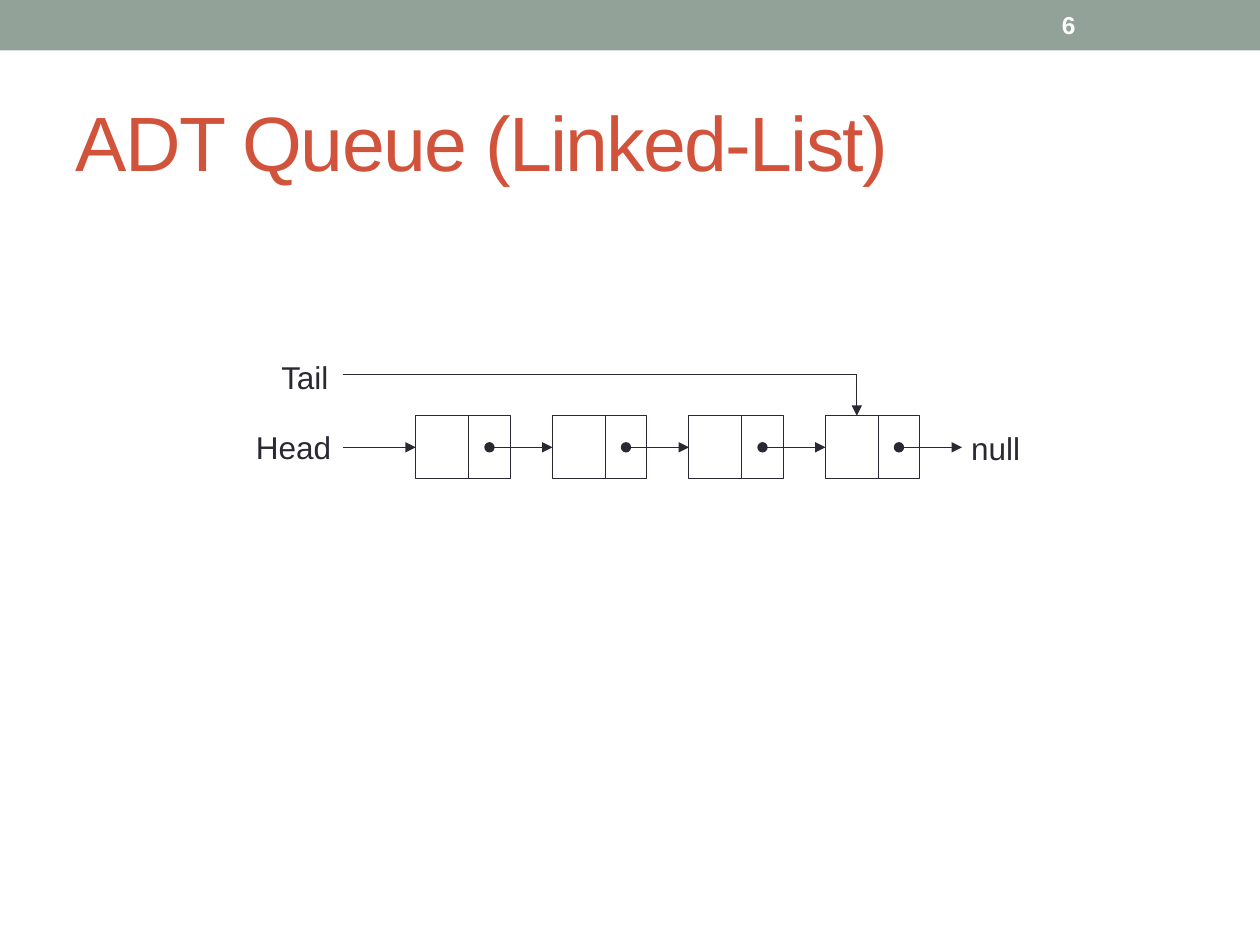
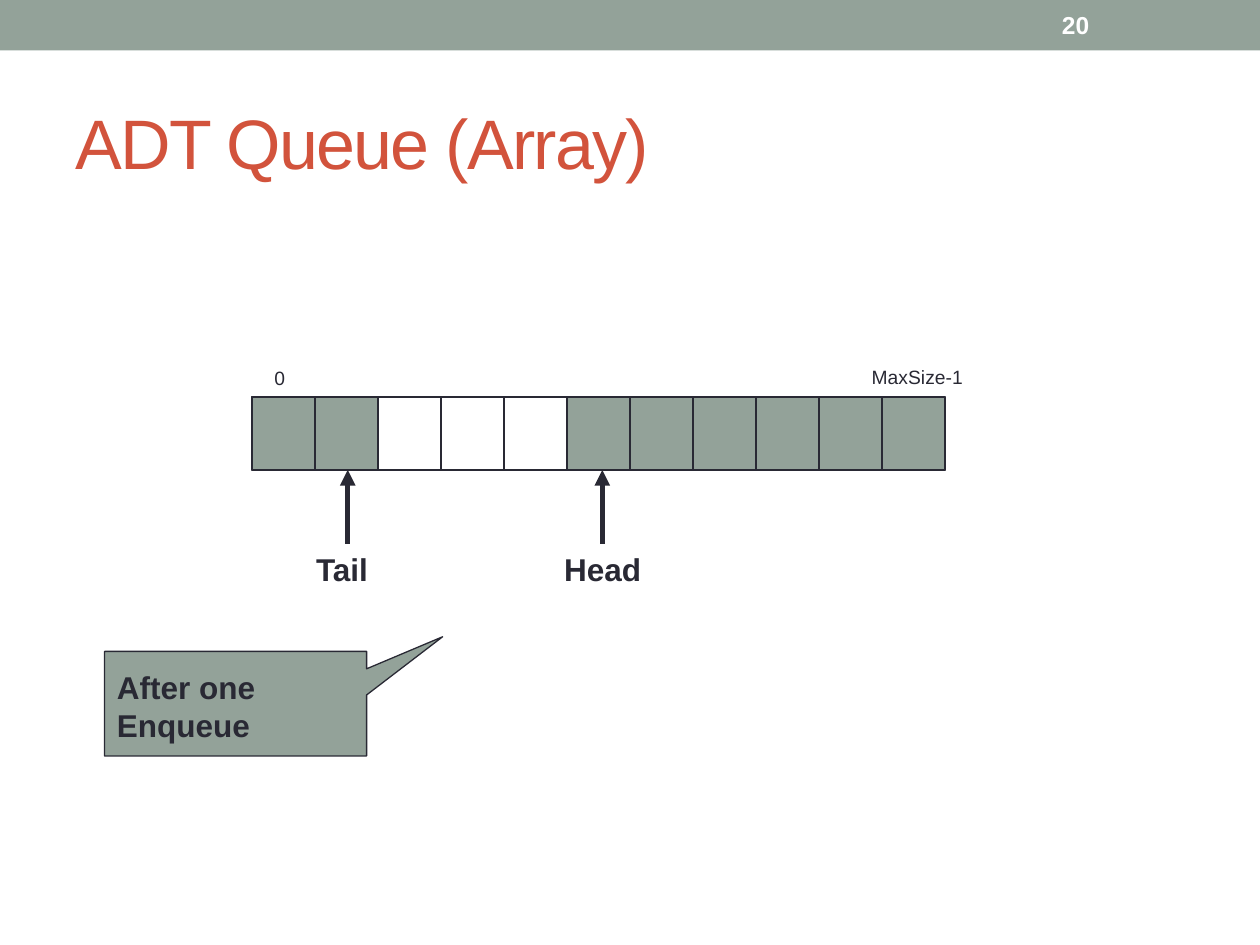
from lxml import etree
from pptx import Presentation
from pptx.dml.color import RGBColor
from pptx.enum import shapes, text
from pptx.oxml import ns
from pptx.util import Inches, Pt

COLORS = {"band": "93A299", "title": "D2533C", "ink": "292934", "white": "FFFFFF"}
FONT = "Arial"


def rgb(name):
    """Return the named colour of the palette."""
    return RGBColor.from_string(COLORS[name])


def style(p, size, color="ink", bold=False, align=text.PP_ALIGN.LEFT):
    """Set the font and alignment of a paragraph."""
    p.alignment = align
    p.font.name, p.font.size, p.font.bold = FONT, Pt(size), bold
    p.font.color.rgb = rgb(color)


def add_box(s, x, y, w, h, fill=None, line="ink", kind=shapes.MSO_SHAPE.RECTANGLE):
    """Draw a preset shape with an optional fill and outline."""
    sp = s.shapes.add_shape(kind, Inches(x), Inches(y), Inches(w), Inches(h))
    sp.shadow.inherit = False
    if fill:
        sp.fill.solid()
        sp.fill.fore_color.rgb = rgb(fill)
    else:
        sp.fill.background()
    if line:
        sp.line.color.rgb = rgb(line)
        sp.line.width = Pt(0.75)
    else:
        sp.line.fill.background()
    return sp


def add_label(s, x, y, w, h, words, size=18, wrap=False, middle=False, **font):
    """Write one paragraph in a text box."""
    sp = s.shapes.add_textbox(Inches(x), Inches(y), Inches(w), Inches(h))
    tf = sp.text_frame
    tf.word_wrap = wrap
    if middle:
        tf.vertical_anchor = text.MSO_ANCHOR.MIDDLE
    tf.text = words
    style(tf.paragraphs[0], size, **font)


def add_line(s, x1, y1, x2, y2, width=0.75, head=None, tail=None):
    """Draw a straight line with optional end marks."""
    c = s.shapes.add_connector(shapes.MSO_CONNECTOR.STRAIGHT,
                               Inches(x1), Inches(y1), Inches(x2), Inches(y2))
    c.line.color.rgb = rgb("ink")
    c.line.width = Pt(width)
    ln = c.line._get_or_add_ln()
    for tag, mark in (("a:headEnd", head), ("a:tailEnd", tail)):
        if mark:
            etree.SubElement(ln, ns.qn(tag), type=mark)
    etree.SubElement(c._element.spPr, ns.qn("a:effectLst"))


def add_slide(prs, title, size, number):
    """Add a slide with the top band, its number and its title."""
    s = prs.slides.add_slide(prs.slide_layouts[5])
    add_box(s, 0, 0, 10, 0.4, fill="band", line=None)
    sp = s.shapes.title
    sp.left, sp.top, sp.width, sp.height = map(Inches, (0.5, 0.58, 9, 1.08))
    tf = sp.text_frame
    tf.text = title
    tf.auto_size = text.MSO_AUTO_SIZE.NONE
    tf.vertical_anchor = text.MSO_ANCHOR.MIDDLE
    p = tf.paragraphs[0]
    style(p, size, color="title")
    p.runs[0]._r.get_or_add_rPr().set("spc", "-100")
    add_label(s, 8.33, 0.02, 1.17, 0.36, str(number), 14, wrap=True, middle=True,
              color="white", bold=True)
    return s


def linked_list_slide(prs):
    """Show a queue as a chain of linked nodes."""
    s = add_slide(prs, "ADT Queue (Linked-List)", 44, 6)
    top, height, data_w, link_w = 3.3, 0.5, 0.42, 0.33
    mid = top + height / 2
    nodes = [3.3 + i * 6.5 / 6 for i in range(4)]
    for x in nodes:
        add_box(s, x, top, data_w, height)
        add_box(s, x + data_w, top, link_w, height)
    for x in nodes:
        dot = x + data_w + link_w / 2
        add_line(s, dot, mid, dot + 0.5, mid, head="oval", tail="triangle")
    add_line(s, 2.72, mid, nodes[0], mid, tail="triangle")
    add_line(s, 2.72, 2.97, 6.8, 2.97)
    add_line(s, 6.8, 2.97, 6.8, top, tail="triangle")
    for x, y, words in ((1.83, 3.34, "Head"), (1.92, 2.78, "Tail")):
        add_label(s, x, y, 1, 0.42, words, middle=True, align=text.PP_ALIGN.CENTER)
    add_label(s, 7.61, 3.36, 0.66, 0.4, "null")


def array_slide(prs):
    """Show a queue wrapped around in an array."""
    s = add_slide(prs, "ADT Queue (Array)", 40, 20)
    left, top, cell_w, height, count = 2, 3.15, 0.5, 0.58, 11
    free = range(2, 5)
    add_box(s, left, top, count * cell_w, height)
    for i in range(count):
        add_box(s, left + i * cell_w, top, cell_w, height,
                fill=None if i in free else "band")
    add_label(s, 2.08, 2.86, 0.3, 0.29, "0", 11)
    add_label(s, 6.82, 2.85, 1, 0.29, "MaxSize-1", 11)
    bottom = top + height
    for words, x, w, arrow_x in (("Tail", 2.41, 0.68, 2.76), ("Head", 4.38, 0.83, 4.78)):
        add_label(s, x, 4.32, w, 0.43, words, bold=True)
        add_line(s, arrow_x, bottom, arrow_x, 4.32, width=3, head="triangle")
    callout = add_box(s, 0.83, 5.17, 2.08, 0.83, fill="band",
                      kind=shapes.MSO_SHAPE.RECTANGULAR_CALLOUT)
    callout.adjustments[0], callout.adjustments[1] = 0.79, -0.64
    add_label(s, 0.83, 5.25, 1.93, 0.71, "After one Enqueue", wrap=True, bold=True)


def main():
    """Build and save the presentation."""
    prs = Presentation()
    prs.slide_width, prs.slide_height = Inches(10), Inches(7.5)
    linked_list_slide(prs)
    array_slide(prs)
    prs.save("out.pptx")


main()
